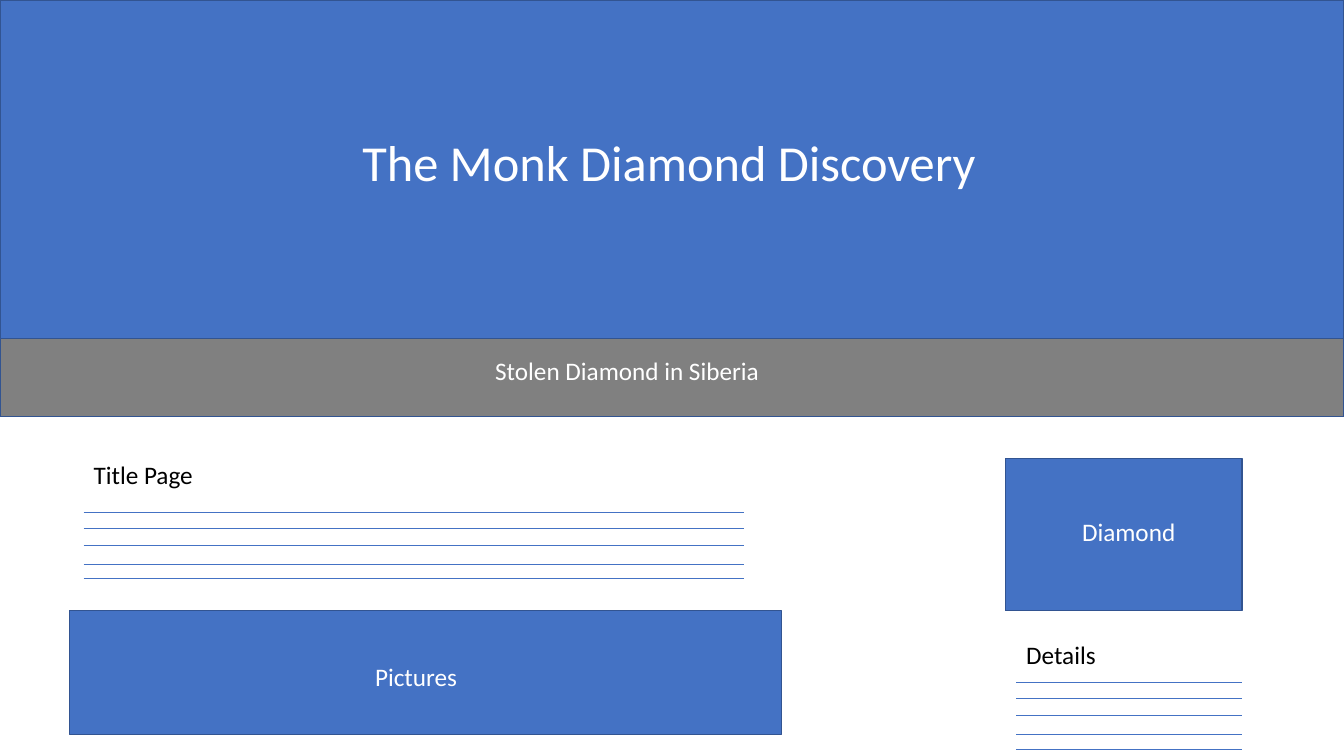
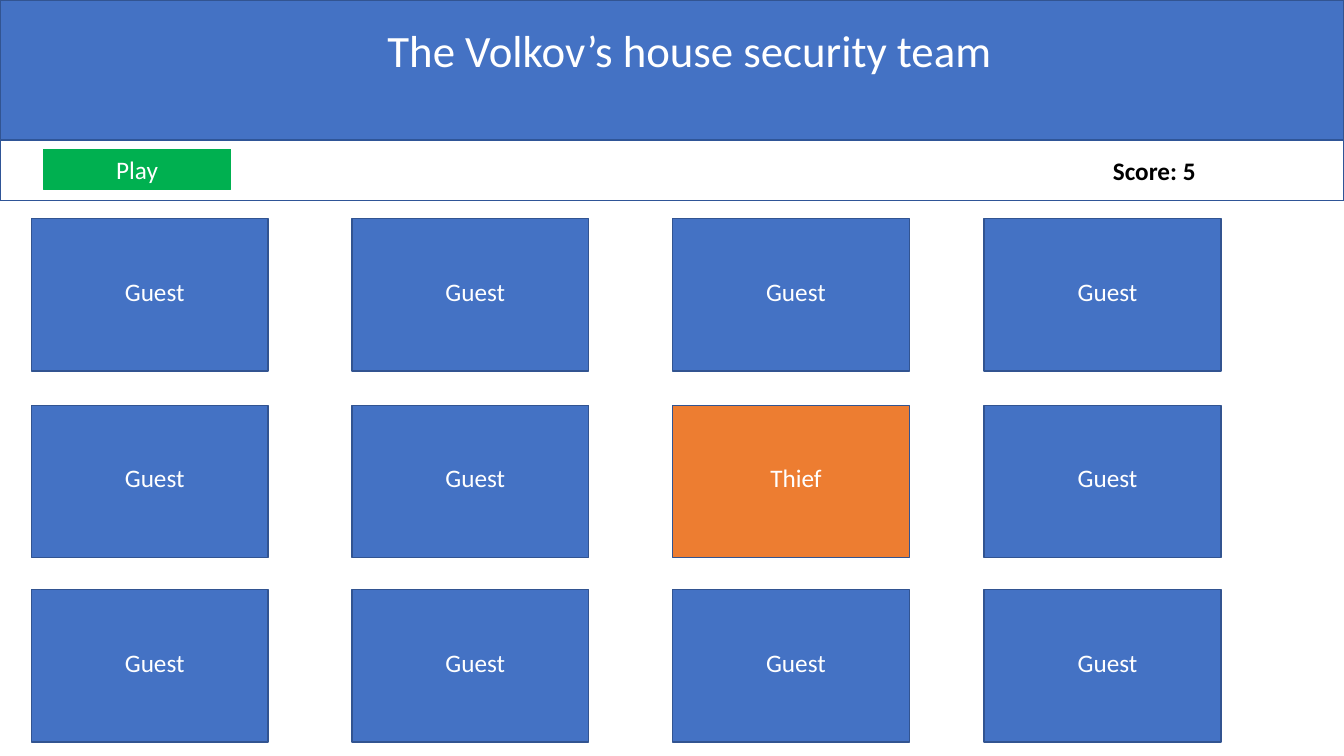
from pptx import Presentation
from pptx import util as u
from pptx.dml.color import RGBColor
from pptx.enum import shapes, text
from pptx.oxml.ns import qn
from lxml import etree

COLORS = {
    "blue": "4472C4",
    "edge": "325491",
    "bar_edge": "2F5597",
    "gray": "808080",
    "orange": "ED7D31",
    "green": "00B050",
    "white": "FFFFFF",
    "black": "000000",
}
FONT = "Calibri"
WIDTH, HEIGHT = 13.33, 7.5
CARD_WIDTH, CARD_HEIGHT = 2.35, 1.51
RULE_OFFSETS = (0, 0.16, 0.33, 0.52, 0.66)


def color(name):
    return RGBColor.from_string(COLORS[name])


def write(shape, content, size=18, ink="white", bold=False, centered=True):
    """Put one formatted paragraph into a shape that grows with its text."""
    frame = shape.text_frame
    frame.word_wrap = True
    frame.auto_size = text.MSO_AUTO_SIZE.SHAPE_TO_FIT_TEXT
    paragraph = frame.paragraphs[0]
    paragraph.alignment = text.PP_ALIGN.CENTER if centered else text.PP_ALIGN.LEFT
    run = paragraph.add_run()
    run.text = content
    run.font.name = FONT
    run.font.size = u.Pt(size)
    run.font.bold = bold
    run.font.color.rgb = color(ink)


class Deck:
    def __init__(self):
        self.presentation = Presentation()
        self.presentation.slide_width = u.Inches(WIDTH)
        self.presentation.slide_height = u.Inches(HEIGHT)
        self.slide = None

    def new_slide(self):
        blank = self.presentation.slide_layouts[6]
        self.slide = self.presentation.slides.add_slide(blank)

    def box(self, left, top, width, height, fill="blue", edge="edge", weight=1):
        """Add a rectangle; a fill of None leaves it hollow."""
        shape = self.slide.shapes.add_shape(
            shapes.MSO_SHAPE.RECTANGLE,
            u.Inches(left), u.Inches(top), u.Inches(width), u.Inches(height))
        shape.shadow.inherit = False
        if fill:
            shape.fill.solid()
            shape.fill.fore_color.rgb = color(fill)
        else:
            shape.fill.background()
        shape.line.color.rgb = color(edge)
        shape.line.width = u.Pt(weight)
        return shape

    def band(self, top, height, **style):
        return self.box(0, top, WIDTH, height, **style)

    def label(self, content, left, top, width, height=0.4, **style):
        shape = self.slide.shapes.add_textbox(
            u.Inches(left), u.Inches(top), u.Inches(width), u.Inches(height))
        write(shape, content, **style)

    def card(self, content, left, top, fill="blue"):
        self.box(left, top, CARD_WIDTH, CARD_HEIGHT, fill)
        self.label(content, left + 0.31, top + 0.52, 1.83)

    def rule(self, left, right, y):
        line = self.slide.shapes.add_connector(
            shapes.MSO_CONNECTOR.STRAIGHT,
            u.Inches(left), u.Inches(y), u.Inches(right), u.Inches(y))
        line.line.color.rgb = color("blue")
        line.line.width = u.Pt(0.5)
        etree.SubElement(line._element.spPr, qn("a:effectLst"))

    def ruled_section(self, heading, left, right, top, first_rule):
        """Add a heading above thin rules that stand for body text."""
        for offset in RULE_OFFSETS:
            self.rule(left, right, first_rule + offset)
        self.label(heading, left, top, 2.13, ink="black", centered=False)


def build_story(deck):
    deck.new_slide()
    deck.band(0, 3.36)
    deck.label("The Monk Diamond Discovery", 2.39, 1.25, 8.49, 0.71, size=36)
    deck.band(3.36, 0.77, fill="gray")
    deck.label("Stolen Diamond in Siberia", 3.55, 3.48, 5.34)
    deck.card("Diamond", 9.97, 4.55)
    deck.ruled_section("Details", 10.08, 12.32, 6.29, 6.77)
    deck.box(0.69, 6.06, 7.06, 1.23)
    deck.label("Pictures ", 2.39, 6.51, 3.53)
    deck.ruled_section("Title Page", 0.83, 7.38, 4.51, 5.08)


def build_game(deck):
    deck.new_slide()
    deck.band(0, 1.39)
    deck.label("The Volkov’s house security team", 1.56, 0.18, 10.56, 0.64, size=32)

    thief = (1, 2)
    for row, top in enumerate((2.17, 4.02, 5.85)):
        for column, left in enumerate((0.31, 3.49, 6.67, 9.76)):
            if (row, column) == thief:
                deck.card("Thief", left, top, "orange")
            else:
                deck.card("Guest", left, top)

    deck.band(1.39, 0.6, fill=None, edge="bar_edge")
    play_button = deck.box(0.43, 1.48, 1.86, 0.4, "green", "green", 0.75)
    write(play_button, "Play")
    deck.label("Score: 5", 10.94, 1.49, 2.06, ink="black", bold=True, centered=False)


def main():
    deck = Deck()
    build_story(deck)
    build_game(deck)
    deck.presentation.save("out.pptx")


if __name__ == "__main__":
    main()
